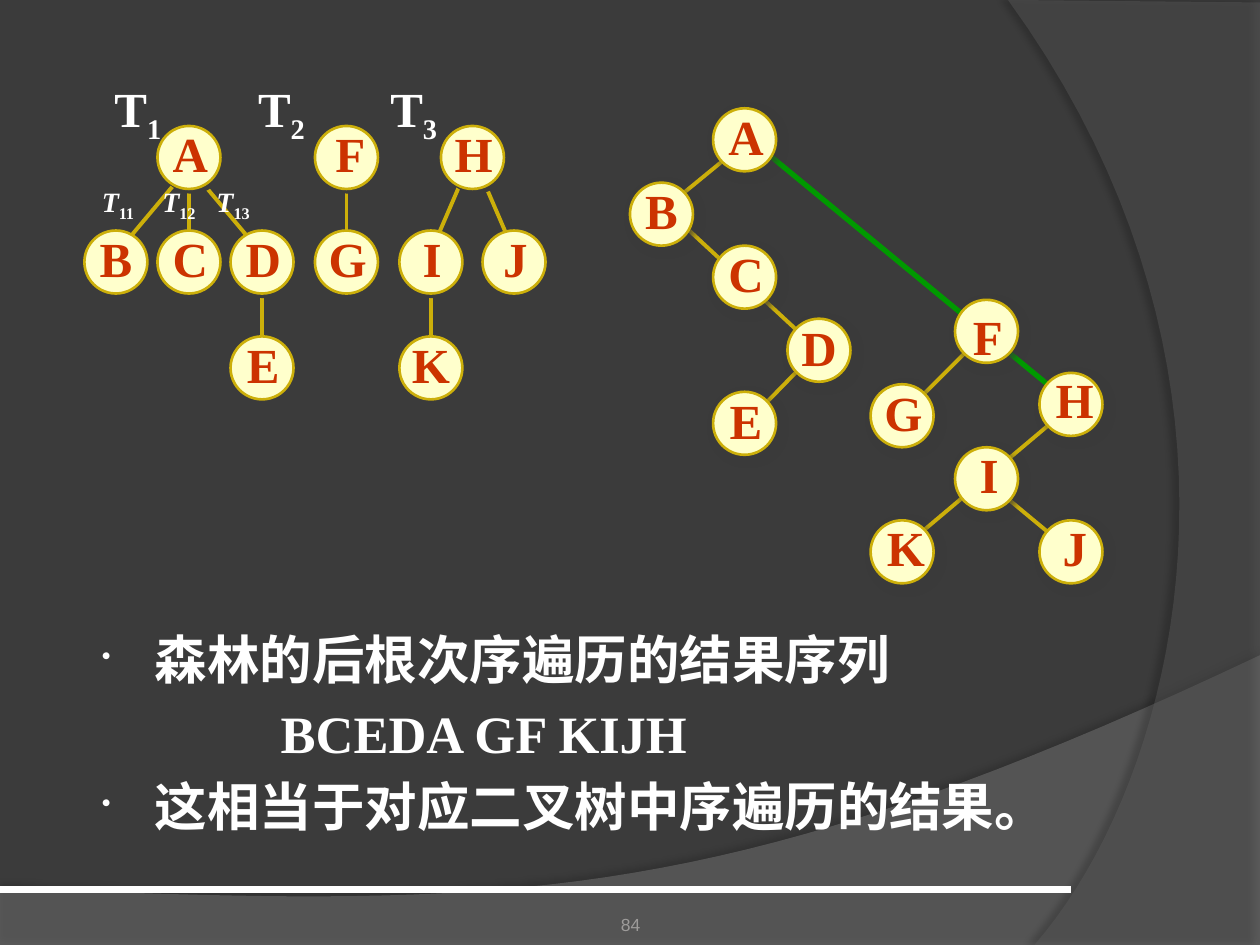
"""Build the slide on post-order traversal of a forest and its binary tree."""
from lxml import etree
from pptx import Presentation
from pptx.dml.color import RGBColor
from pptx.enum.shapes import MSO_CONNECTOR as Connector, MSO_SHAPE as Shape
from pptx.enum.text import MSO_ANCHOR as Anchor, PP_ALIGN as Align
from pptx.oxml.ns import qn
from pptx.util import Inches, Pt

SERIF = "Times New Roman"
WHITE, GOLD, GREEN, RED, CREAM, DARK = "FFFFFF", "CCAF0A", "009900", "CC3300", "FFFFCC", "3B3B3B"
color = RGBColor.from_string


def cast_shadow(shape, hue, alpha, blur, distance, angle):
    shape.shadow.inherit = False
    effects = shape._element.spPr.find(qn("a:effectLst"))
    outer = etree.SubElement(effects, qn("a:outerShdw"), blurRad=str(Pt(blur)), dist=str(Pt(distance)),
                             dir=str(angle * 60000), algn="ctr", rotWithShape="0")
    tone = etree.SubElement(outer, qn("a:srgbClr"), val=hue)
    etree.SubElement(tone, qn("a:alpha"), val=str(alpha * 1000))


def write(left, top, width, height, text, size, hue, bold=True, font=SERIF, align=Align.LEFT):
    frame = slide.shapes.add_textbox(Inches(left), Inches(top), Inches(width), Inches(height)).text_frame
    frame.word_wrap = False
    frame.vertical_anchor = Anchor.MIDDLE
    paragraph = frame.paragraphs[0]
    paragraph.alignment = align
    paragraph.font.size, paragraph.font.bold, paragraph.font.name = Pt(size), bold, font
    paragraph.font.color.rgb = color(hue)
    paragraph.add_run().text = text
    return frame


deck = Presentation()
deck.slide_width, deck.slide_height = Inches(10), Inches(7.5)
slide = deck.slides.add_slide(deck.slide_layouts[6])
slide.background.fill.solid()
slide.background.fill.fore_color.rgb = color(DARK)

swooshes = [
    ([(0, 7.05), (0, 7.51), (10, 7.51)], [(10, 5.2), (5.59, 7.29), (3.91, 7.19), (0, 7.05)],
     "7F7F7F", 45, (35, 4, 3.5, 270)),
    ([(10, 0.02), (10, 7.5)], [(8.21, 7.5), (9.35, 6.19), (10.18, 3), (8, 0)],
     "5E5E5E", 40, (45, 4, 4, 180)),
]
for corners, bezier, hue, alpha, shadow in swooshes:
    curve = []
    for step in range(41):
        t = step / 40
        weights = ((1 - t) ** 3, 3 * t * (1 - t) ** 2, 3 * t ** 2 * (1 - t), t ** 3)
        curve.append(tuple(sum(w * point[axis] for w, point in zip(weights, bezier)) for axis in (0, 1)))
    outline = [(Inches(x), Inches(y)) for x, y in corners + curve]
    builder = slide.shapes.build_freeform(*outline[0])
    builder.add_line_segments(outline[1:], close=True)
    swoosh = builder.convert_to_shape()
    swoosh.fill.solid()
    swoosh.fill.fore_color.rgb = color(hue)
    solid = swoosh._element.spPr.find(qn("a:solidFill"))
    etree.SubElement(solid[0], qn("a:alpha"), val=str(alpha * 1000))
    swoosh.line.fill.background()
    cast_shadow(swoosh, "000000", *shadow)

edges = [
    (0, 7.06, 8.5, 7.06, WHITE, 4.5),
    (6.08, 1.21, 8.41, 3.13, GREEN, 3),
] + [(*ends, GOLD, 2.25) for ends in [
    (6.41, 2.86, 6, 3.28), (5.33, 1.7, 6.41, 2.7), (5.83, 1.2, 5.33, 1.61),
    (8, 3.96, 8.41, 4.3), (8.41, 3.3, 7.33, 4.21), (7.75, 2.71, 7.25, 3.21),
    (3.83, 1.42, 4.08, 2), (3.67, 1.42, 3.42, 2), (1.58, 1.42, 2, 1.92), (1.42, 1.42, 1, 1.92),
    (3.42, 2.25, 3.42, 2.75), (2.08, 2.25, 2.08, 2.75),
    (2.75, 1.42, 2.75, 1.92), (1.5, 1.42, 1.5, 1.92),
]]
for x1, y1, x2, y2, hue, weight in edges:
    edge = slide.shapes.add_connector(Connector.STRAIGHT, Inches(x1), Inches(y1), Inches(x2), Inches(y2))
    edge.line.color.rgb = color(hue)
    edge.line.width = Pt(weight)
    etree.SubElement(edge._element.spPr, qn("a:effectLst"))

binary_tree = [
    ("A", 5.66, 0.86, 0.01, -0.03), ("B", 5, 1.45, 0, -0.03), ("C", 5.66, 1.95, 0.01, -0.03),
    ("D", 6.25, 2.53, 0, -0.03), ("E", 5.66, 3.11, 0.01, -0.03), ("F", 7.58, 2.38, 0.01, 0.04),
    ("G", 6.91, 3.05, 0.01, -0.03), ("H", 8.25, 2.96, 0.03, -0.04), ("I", 7.58, 3.55, 0.02, -0.04),
    ("J", 8.25, 4.13, 0.03, -0.04), ("K", 6.91, 4.13, 0.03, -0.04),
]
forest = [
    ("A", 1.25, 1, 0.01, -0.04), ("F", 2.5, 1, 0.03, -0.04), ("H", 3.5, 1, 0.01, -0.04),
    ("B", 0.67, 1.83, 0, -0.03), ("C", 1.25, 1.83, 0.01, -0.03), ("D", 1.83, 1.83, 0.01, -0.03),
    ("G", 2.5, 1.83, 0.01, -0.03), ("I", 3.17, 1.83, 0.01, -0.03), ("J", 3.83, 1.83, 0.01, -0.03),
    ("E", 1.83, 2.67, 0.01, -0.03), ("K", 3.17, 2.67, 0, -0.03),
]
letter_widths = dict(zip("ABCDEFGHIJK", (0.48, 0.46, 0.48, 0.48, 0.46, 0.44, 0.5, 0.5, 0.35, 0.4, 0.5)))
diameter, letter_height = 0.5, 0.57
for nodes, shadow in ((binary_tree, (75, 5, 3, 45)), (forest, (100, 0, 2.8, 45))):
    for letter, left, top, dx, dy in nodes:
        node = slide.shapes.add_shape(Shape.OVAL, Inches(left), Inches(top), Inches(diameter), Inches(diameter))
        node.fill.solid()
        node.fill.fore_color.rgb = color(CREAM)
        node.line.color.rgb = color(GOLD)
        node.line.width = Pt(1.5)
        cast_shadow(node, DARK, *shadow)
    for letter, left, top, dx, dy in nodes:
        width = letter_widths[letter]
        write(left + (diameter - width) / 2 + dx, top + (diameter - letter_height) / 2 + dy,
              width, letter_height, letter, 28, RED, align=Align.CENTER)

tree_labels = [(0.81, 0.6, 0.57, 28, "1", False), (1.95, 0.6, 0.57, 28, "2", False),
               (3, 0.6, 0.57, 28, "3", False), (0.71, 1.43, 0.37, 16, "11", True),
               (1.19, 1.43, 0.37, 16, "12", True), (1.62, 1.43, 0.37, 16, "13", True)]
for left, top, height, size, index, italic in tree_labels:
    label = write(left, top, 0.6, height, "T", size, WHITE).paragraphs[0]
    label.runs[0].font.italic = italic
    subscript = label.add_run()
    subscript.text = index
    subscript.font._element.set("baseline", "-25000")

notes = slide.shapes.add_textbox(Inches(0.67), Inches(4.93), Inches(9), Inches(2.05)).text_frame
notes.word_wrap = True
statements = [("森林的后根次序遍历的结果序列", True), ("BCEDA GF KIJH", False),
              ("这相当于对应二叉树中序遍历的结果。", True)]
for order, (statement, bulleted) in enumerate(statements):
    line = notes.add_paragraph() if order else notes.paragraphs[0]
    line.text = statement
    line.space_before = Pt(6)
    line.font.size, line.font.bold, line.font.name = Pt(30), True, SERIF
    line.font.color.rgb = color(WHITE)
    properties = line._p.get_or_add_pPr()
    properties.set("marL", str(Inches(0.46 if bulleted else 1.46)))
    properties.set("indent", str(Inches(-0.42 if bulleted else 0)))
    if bulleted:
        bullet_size = etree.Element(qn("a:buSzPct"), val="50000")
        bullet = etree.Element(qn("a:buChar"), char="•")
        properties.find(qn("a:spcBef")).addnext(bullet_size)
        bullet_size.addnext(bullet)

page_number = write(3.42, 7.02, 3.17, 0.4, "84", 10, "9D9B9A", False, "Arial", Align.CENTER)
page_number.vertical_anchor = Anchor.BOTTOM
page_number.margin_left = page_number.margin_right = page_number.margin_bottom = 0
page_number.word_wrap = True

deck.save("out.pptx")
